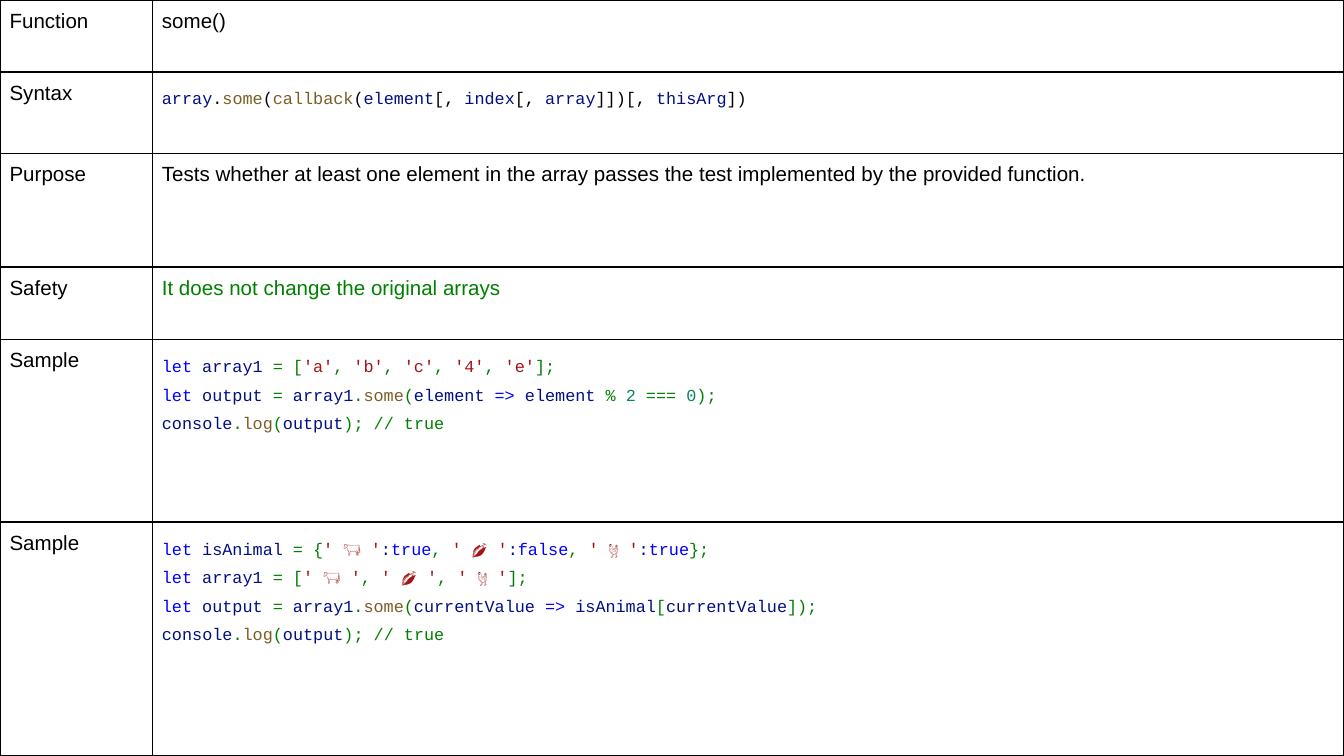
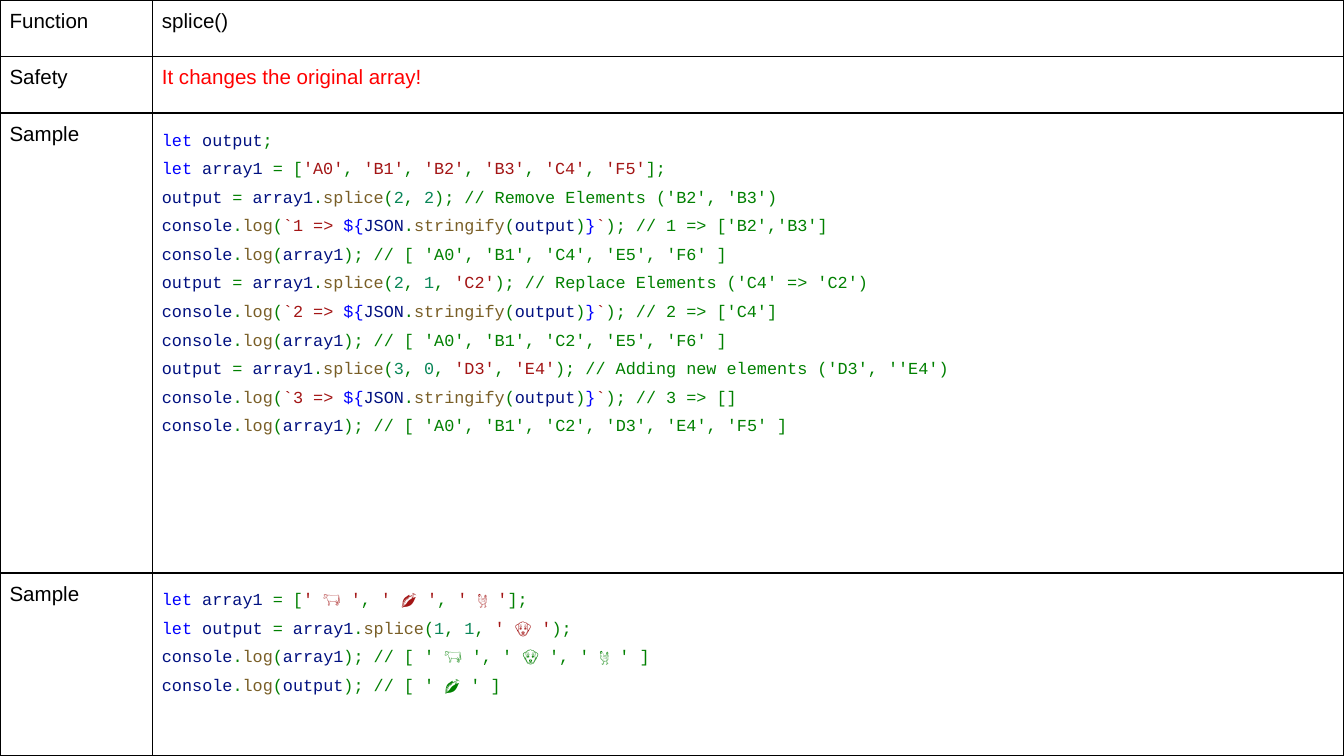
from itertools import groupby

from lxml.etree import SubElement
from pptx import Presentation
from pptx.dml.color import RGBColor
from pptx.oxml.ns import qn
from pptx.util import Cm, Pt

BLACK = RGBColor(0x00, 0x00, 0x00)
RED = RGBColor(0xFF, 0x00, 0x00)
GREEN = RGBColor(0x00, 0x80, 0x00)
KEYWORD = RGBColor(0x00, 0x00, 0xFF)
NAME = RGBColor(0x00, 0x10, 0x80)
CALL = RGBColor(0x79, 0x5E, 0x26)
STRING = RGBColor(0xA3, 0x15, 0x15)
NUMBER = RGBColor(0x09, 0x86, 0x58)

KEYWORDS = ("let", "true", "false")
COLUMNS = (2.88, 22.52)
MARGIN = Cm(0.18)

SOME = [
    dict(label="Function", height=1.36, text="some()"),
    dict(label="Syntax", height=1.54, punct=BLACK, code=[
        "array.some(callback(element[, index[, array]])[, thisArg])",
    ]),
    dict(label="Purpose", height=2.15,
         text="Tests whether at least one element in the array passes "
              "the test implemented by the provided function."),
    dict(label="Safety", height=1.37, color=GREEN,
         text="It does not change the original arrays"),
    dict(label="Sample", height=3.45, code=[
        "let array1 = ['a', 'b', 'c', '4', 'e'];",
        "let output = array1.some(element => element % 2 === 0);",
        "console.log(output); // true",
    ]),
    dict(label="Sample", height=4.42, code=[
        "let isAnimal = {' 🐄 ':true, ' 🌽 ':false, ' 🐔 ':true};",
        "let array1 = [' 🐄 ', ' 🌽 ', ' 🐔 '];",
        "let output = array1.some(currentValue => isAnimal[currentValue]);",
        "console.log(output); // true",
    ]),
]

SPLICE = [
    dict(label="Function", height=1.07, text="splice()"),
    dict(label="Safety", height=1.07, color=RED,
         text="It changes the original array!"),
    dict(label="Sample", height=8.69, code=[
        "let output;",
        "let array1 = ['A0', 'B1', 'B2', 'B3', 'C4', 'F5'];",
        "output = array1.splice(2, 2); // Remove Elements ('B2', 'B3')",
        "console.log(`1 => ${JSON.stringify(output)}`); // 1 => ['B2','B3']",
        "console.log(array1); // [ 'A0', 'B1', 'C4', 'E5', 'F6' ]",
        "output = array1.splice(2, 1, 'C2'); // Replace Elements ('C4' => 'C2')",
        "console.log(`2 => ${JSON.stringify(output)}`); // 2 => ['C4']",
        "console.log(array1); // [ 'A0', 'B1', 'C2', 'E5', 'F6' ]",
        "output = array1.splice(3, 0, 'D3', 'E4'); // Adding new elements ('D3', ''E4')",
        "console.log(`3 => ${JSON.stringify(output)}`); // 3 => []",
        "console.log(array1); // [ 'A0', 'B1', 'C2', 'D3', 'E4', 'F5' ]",
    ]),
    dict(label="Sample", height=3.46, code=[
        "let array1 = [' 🐄 ', ' 🌽 ', ' 🐔 '];",
        "let output = array1.splice(1, 1, ' 🐶 ');",
        "console.log(array1); // [ ' 🐄 ', ' 🐶 ', ' 🐔 ' ]",
        "console.log(output); // [ ' 🌽 ' ]",
    ]),
]


def tokens(line, punct):
    """Yield the pieces of a JavaScript line with their colours."""
    code, slashes, comment = line.partition("//")
    i, color = 0, punct
    while i < len(code):
        c, j = code[i], i + 1
        if c == "'":
            j, color = code.index("'", j) + 1, STRING
        elif c == "`":
            j, color = max(j, code.find("${", i)), STRING
        elif code.startswith(("${", "=>"), i):
            j, color = i + 2, KEYWORD
        elif c == "}" and "`" in code[i:]:
            color = KEYWORD
        elif c.isdigit():
            color = NUMBER
        elif c.isalpha():
            while j < len(code) and code[j].isalnum():
                j += 1
            if code[i:j] in KEYWORDS:
                color = KEYWORD
            else:
                color = CALL if code.startswith("(", j) else NAME
        elif c == ":":
            color = NAME
        elif c != " " or color != KEYWORD:
            color = punct
        yield code[i:j], color
        i = j
    if slashes:
        yield slashes + comment, punct


def add_run(p, text, font="Arial", size=11, color=BLACK):
    """Append one formatted run."""
    r = p.add_run()
    r.text = text
    r.font.name = font
    r.font.size = Pt(size)
    r.font.color.rgb = color


def add_code(tf, lines, punct):
    """Write highlighted code, one paragraph a line."""
    for i, line in enumerate(lines):
        p = tf.add_paragraph() if i else tf.paragraphs[0]
        p.line_spacing = 1.5
        for color, group in groupby(tokens(line, punct), key=lambda t: t[1]):
            text = "".join(piece for piece, _ in group)
            add_run(p, text, font="Courier New", size=9, color=color)


def style_cell(cell):
    """Clear the fill, set the margins and draw black borders."""
    cell.margin_left = cell.margin_right = MARGIN
    cell.margin_top = cell.margin_bottom = MARGIN
    tcPr = cell._tc.get_or_add_tcPr()
    for side in ("lnL", "lnR", "lnT", "lnB"):
        ln = SubElement(tcPr, qn(f"a:{side}"), w=str(Pt(1)))
        fill = SubElement(ln, qn("a:solidFill"))
        SubElement(fill, qn("a:srgbClr"), val=str(BLACK))
    cell.fill.background()


def add_reference(prs, rows):
    """Add a slide filled by one function's reference table."""
    s = prs.slides.add_slide(prs.slide_layouts[6])
    height = Cm(sum(row["height"] for row in rows))
    table = s.shapes.add_table(len(rows), 2, 0, 0, prs.slide_width, height).table
    table.first_row = table.horz_banding = False
    for column, width in zip(table.columns, COLUMNS):
        column.width = Cm(width)
    for i, row in enumerate(rows):
        table.rows[i].height = Cm(row["height"])
        label, body = table.cell(i, 0), table.cell(i, 1)
        style_cell(label)
        style_cell(body)
        add_run(label.text_frame.paragraphs[0], row["label"])
        if "code" in row:
            add_code(body.text_frame, row["code"], row.get("punct", GREEN))
        else:
            add_run(body.text_frame.paragraphs[0], row["text"],
                    color=row.get("color", BLACK))


def main():
    """Build the deck."""
    prs = Presentation()
    prs.slide_width, prs.slide_height = Cm(25.4), Cm(14.29)
    for rows in (SOME, SPLICE):
        add_reference(prs, rows)
    prs.save("out.pptx")


if __name__ == "__main__":
    main()
